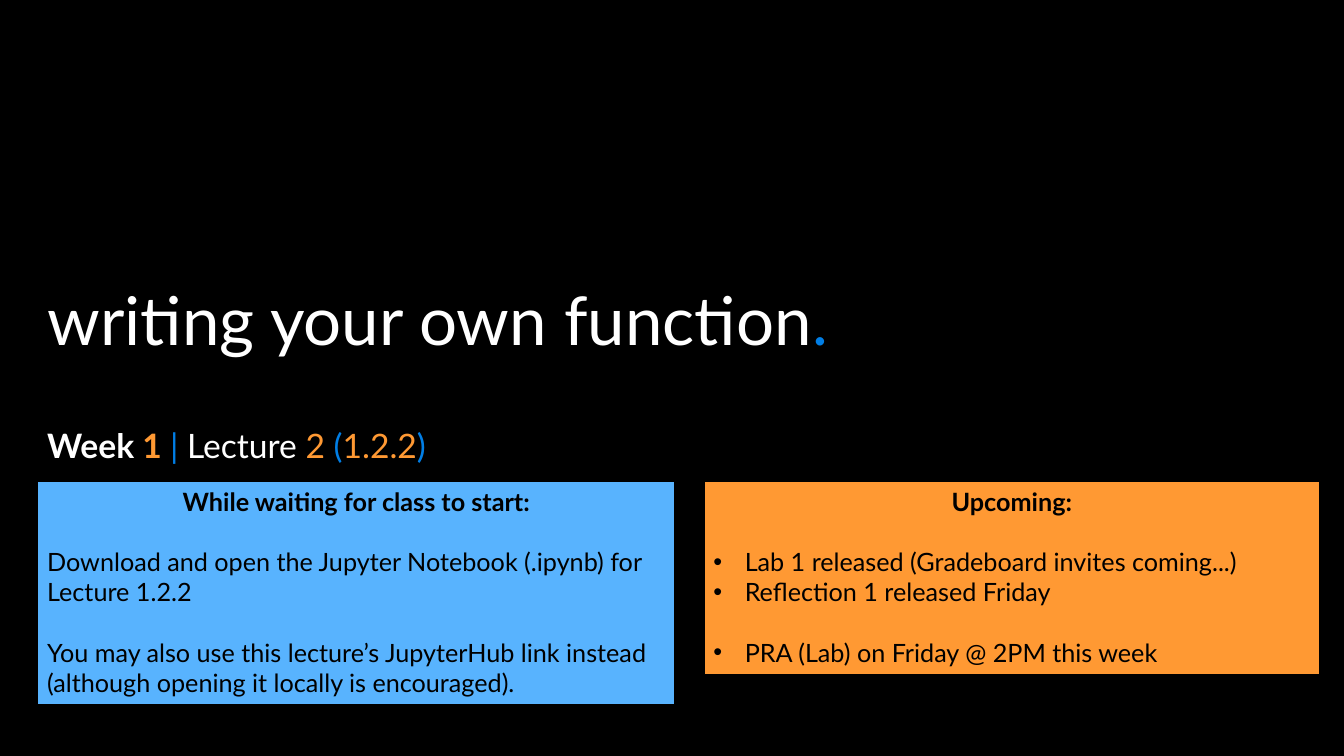
from lxml.etree import SubElement
from pptx import Presentation
from pptx.dml.color import RGBColor
from pptx.enum.shapes import MSO_SHAPE
from pptx.enum.text import MSO_ANCHOR, MSO_AUTO_SIZE, PP_ALIGN
from pptx.oxml.ns import qn
from pptx.util import Cm, Pt

BLACK = RGBColor(0x00, 0x00, 0x00)
WHITE = RGBColor(0xFF, 0xFF, 0xFF)
BLUE = RGBColor(0x01, 0x7E, 0xE5)
LIGHT_BLUE = RGBColor(0x58, 0xB3, 0xFE)
ORANGE = RGBColor(0xFF, 0x99, 0x33)

FONT = "Lato"
LEFT, FULL_WIDTH = Cm(0.94), Cm(31.65)
PANEL_TOP = Cm(12.12)
LINE_GAP = Pt(21.6)  # one line of 18 pt text


def set_font(font, size, bold=False):
    font.name = FONT
    font.size = Pt(size)
    font.bold = bold


def fill_heading(frame, size, anchor, pieces):
    """Write one left-aligned line of (text, colour, bold) pieces."""
    frame.word_wrap = True
    frame.auto_size = MSO_AUTO_SIZE.NONE
    frame.vertical_anchor = anchor
    line = frame.paragraphs[0]
    line.alignment = PP_ALIGN.LEFT
    line.line_spacing = 0.9
    for text, colour, bold in pieces:
        run = line.add_run()
        run.text = text
        set_font(run.font, size, bold)
        run.font.color.rgb = colour


def add_bullet(paragraph):
    properties = paragraph._p.get_or_add_pPr()
    properties.set("marL", str(Cm(0.79)))
    properties.set("indent", str(-Cm(0.79)))
    SubElement(properties, qn("a:buFont")).set("typeface", "Arial")
    SubElement(properties, qn("a:buChar")).set("char", "•")


def add_panel(slide, left, width, height, colour, heading, items, bulleted=False):
    """Add a coloured panel; items are (text, starts a new group)."""
    panel = slide.shapes.add_shape(MSO_SHAPE.RECTANGLE, left, PANEL_TOP, width, height)
    panel.shadow.inherit = False
    panel.fill.solid()
    panel.fill.fore_color.rgb = colour
    panel.line.color.rgb = BLACK
    panel.line.width = Pt(1.5)
    frame = panel.text_frame
    frame.word_wrap = True
    frame.auto_size = MSO_AUTO_SIZE.SHAPE_TO_FIT_TEXT
    frame.vertical_anchor = MSO_ANCHOR.TOP

    title = frame.paragraphs[0]
    title.text = heading
    title.alignment = PP_ALIGN.CENTER
    set_font(title.font, 18, bold=True)
    title.font.color.rgb = BLACK

    for text, new_group in items:
        item = frame.add_paragraph()
        item.text = text
        item.alignment = PP_ALIGN.LEFT
        if new_group:
            item.space_before = LINE_GAP
        if bulleted:
            add_bullet(item)
        set_font(item.font, 18)
        item.font.color.rgb = BLACK


def main():
    presentation = Presentation()
    presentation.slide_width, presentation.slide_height = Cm(33.87), Cm(19.05)
    slide = presentation.slides.add_slide(presentation.slide_layouts[5])
    slide.background.fill.solid()
    slide.background.fill.fore_color.rgb = BLACK

    # Lecture title
    title = slide.shapes.title
    title.left, title.top, title.width, title.height = LEFT, Cm(6.71), FULL_WIDTH, Cm(2.49)
    fill_heading(title.text_frame, 48, MSO_ANCHOR.BOTTOM, [
        ("writing your own function", WHITE, False),
        (".", BLUE, False),
    ])

    # Week and lecture number
    lecture = slide.shapes.add_textbox(LEFT, Cm(10.69), FULL_WIDTH, Cm(4.6))
    fill_heading(lecture.text_frame, 24, MSO_ANCHOR.TOP, [
        ("Week ", WHITE, True),
        ("1 ", ORANGE, True),
        ("|", BLUE, False),
        (" Lecture ", WHITE, False),
        ("2 ", ORANGE, False),
        ("(", BLUE, False),
        ("1.2.2", ORANGE, False),
        (")", BLUE, False),
    ])

    # Announcement panels
    add_panel(slide, Cm(17.73), Cm(15.54), Cm(4.88), ORANGE, "Upcoming:", [
        ("Lab 1 released (Gradeboard invites coming...)", True),
        ("Reflection 1 released Friday", False),
        ("PRA (Lab) on Friday @ 2PM this week", True),
    ], bulleted=True)
    add_panel(slide, LEFT, Cm(16.08), Cm(5.64), LIGHT_BLUE, "While waiting for class to start:", [
        ("Download and open the Jupyter Notebook (.ipynb) for Lecture 1.2.2", True),
        ("You may also use this lecture’s JupyterHub link instead "
         "(although opening it locally is encouraged).", True),
    ])

    presentation.save("out.pptx")


if __name__ == "__main__":
    main()
